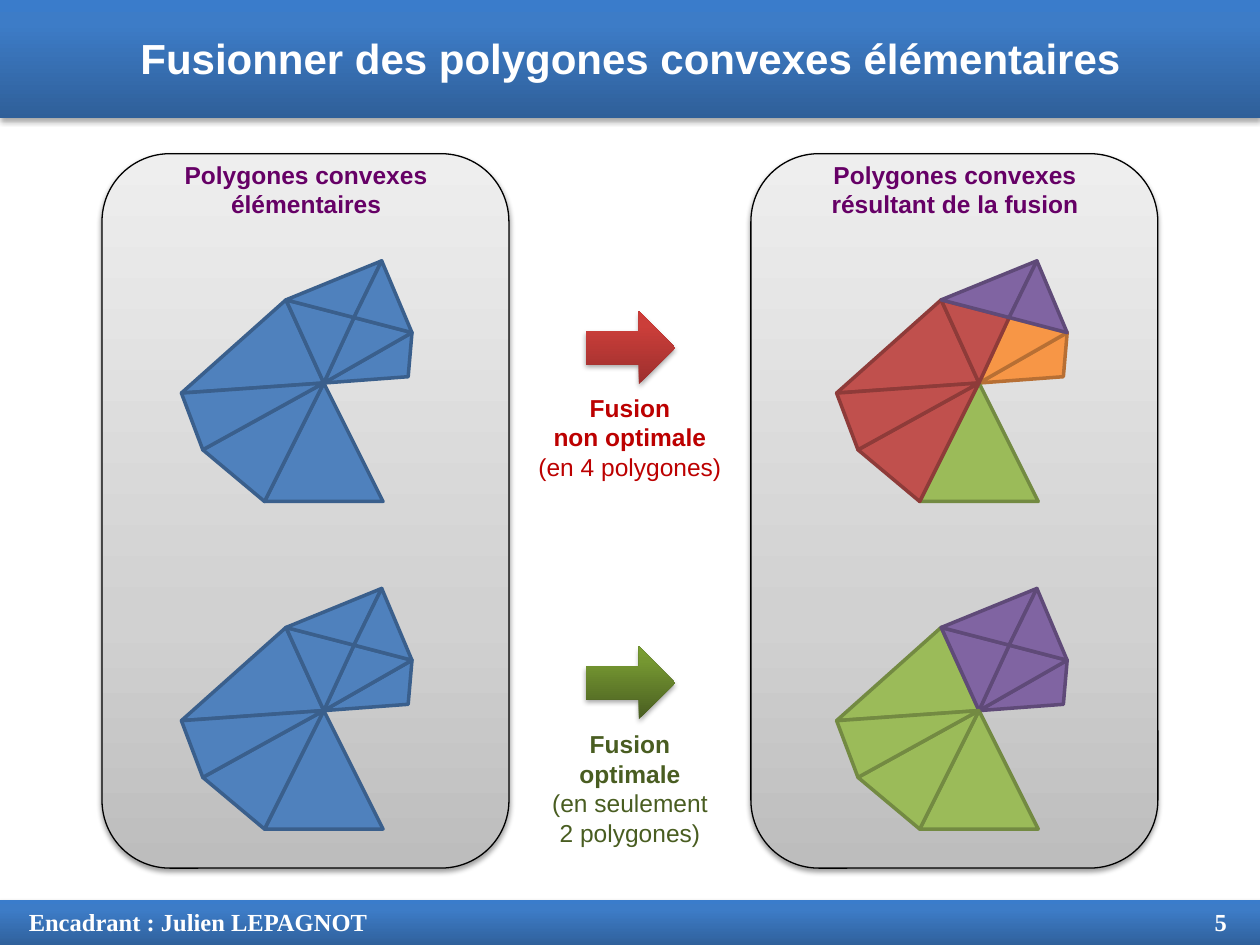
from dataclasses import dataclass

from lxml import etree
from pptx import Presentation, util as u
from pptx.dml.color import RGBColor
from pptx.enum import shapes, text
from pptx.oxml import ns


@dataclass(frozen=True)
class Theme:
    sans: str = "Arial"
    serif: str = "Times New Roman"
    title_size: int = 24
    text_size: int = 14
    white: str = "FFFFFF"
    black: str = "000000"
    heading: str = "660066"
    bad: str = "BC0000"
    good: str = "495D21"
    # Gradients run from bottom to top: (position in percent, colour)
    band: tuple = ((0, "2F5F99"), (80, "3D7CC7"), (100, "3A7CCB"))
    panel: tuple = ((0, "BDBDBD"), (35, "D1D1D1"), (100, "EEEEEE"))
    bad_arrow: tuple = ((0, "9C2F2D"), (80, "CB3E3A"), (100, "CE3B37"))
    good_arrow: tuple = ((0, "495D21"), (80, "759731"), (100, "7A9F31"))
    # Polygon colours: (fill, outline)
    blue: tuple = ("4F81BD", "3A5F8C")
    red: tuple = ("C0504D", "8E3B39")
    green: tuple = ("9BBB59", "738A42")
    purple: tuple = ("8064A2", "5F4A78")
    orange: tuple = ("F79646", "B76F34")


# Corners of the fan, as offsets from its hub
CORNERS = {
    "hub": (0, 0), "A": (-0.47, 0.94), "C": (-0.96, 0.53), "D": (-1.13, 0.08),
    "E": (-0.3, -0.66), "F": (0.46, -0.97), "G": (0.7, -0.4),
    "H": (0.67, -0.05), "X": (0.24, -0.52),
}
# Pieces from back to front; the base is an isosceles triangle below the hub
PIECES = {
    "right low": ("hub", "G", "H"), "right high": ("hub", "G", "X"),
    "base": None,
    "left low": ("C", "hub", "A"), "left high": ("E", "hub", "D"),
    "middle": ("E", "X", "hub"), "top": ("E", "X", "F"),
    "top right": ("F", "G", "X"), "left": ("C", "hub", "D"),
}


def rgb(color):
    return RGBColor.from_string(color)


def add_xml(parent, tag, **attributes):
    values = {name: str(value) for name, value in attributes.items()}
    return etree.SubElement(parent, ns.qn(tag), values)


def write(frame, lines, *, color, size, font, align=text.PP_ALIGN.CENTER,
          bold_lines=None, right_tab=None):
    """Put one paragraph per line; only the first bold_lines are bold (all if None)."""
    for index, line in enumerate(lines):
        para = frame.paragraphs[0] if index == 0 else frame.add_paragraph()
        para.alignment = align
        if right_tab is not None:
            tabs = add_xml(para._p.get_or_add_pPr(), "a:tabLst")
            add_xml(tabs, "a:tab", pos=int(right_tab), algn="r")
        span = para.add_run()
        span.text = line
        span.font.name = font
        span.font.size = u.Pt(size)
        span.font.bold = bold_lines is None or index < bold_lines
        span.font.color.rgb = rgb(color)


class SlideBuilder:
    def __init__(self, page, theme):
        self.page = page
        self.theme = theme

    def shape(self, kind, left, top, width, height):
        shape = self.page.shapes.add_shape(
            kind, *map(u.Inches, (left, top, width, height)))
        shape.shadow.inherit = False
        shape.line.fill.background()
        return shape

    def shaded(self, kind, at, stops, shadow_alpha=35, shadow_distance=1.8):
        """Add a shape with a vertical gradient and a soft shadow below it."""
        shape = self.shape(kind, *at)
        shape.fill.gradient()
        shape.fill.gradient_angle = 90
        properties = shape.element.spPr
        stop_list = properties.find(".//" + ns.qn("a:gsLst"))
        for old in list(stop_list):
            stop_list.remove(old)
        for position, color in stops:
            stop = add_xml(stop_list, "a:gs", pos=position * 1000)
            add_xml(stop, "a:srgbClr", val=color)
        shadow = add_xml(properties.find(ns.qn("a:effectLst")), "a:outerShdw",
                         blurRad=int(u.Pt(3.1)), dist=int(u.Pt(shadow_distance)),
                         dir=5400000, algn="ctr", rotWithShape=0)
        tint = add_xml(shadow, "a:srgbClr", val=self.theme.black)
        add_xml(tint, "a:alpha", val=shadow_alpha * 1000)
        return shape

    def band(self, top, height):
        self.shaded(shapes.MSO_SHAPE.RECTANGLE, (0, top, 10, height), self.theme.band)

    def label(self, lines, at, color, wrap=True, font=None, **style):
        box = self.page.shapes.add_textbox(*map(u.Inches, at))
        box.text_frame.word_wrap = wrap
        box.text_frame.auto_size = text.MSO_AUTO_SIZE.SHAPE_TO_FIT_TEXT
        write(box.text_frame, lines, color=color, size=self.theme.text_size,
              font=font or self.theme.sans, **style)
        return box

    def title(self, line, at, behind):
        """Fill the title placeholder and bring it in front of a given shape."""
        title = self.page.shapes.title
        title.left, title.top, title.width, title.height = map(u.Inches, at)
        frame = title.text_frame
        frame.auto_size = text.MSO_AUTO_SIZE.NONE
        frame.vertical_anchor = text.MSO_ANCHOR.TOP
        write(frame, [line], color=self.theme.white, size=self.theme.title_size,
              font=self.theme.sans)
        behind.element.addnext(title.element)

    def panel(self, left, heading):
        panel = self.shaded(shapes.MSO_SHAPE.ROUNDED_RECTANGLE, (left, 1.22, 3.23, 5.67),
                            self.theme.panel, shadow_alpha=38, shadow_distance=1.6)
        panel.line.color.rgb = rgb(self.theme.black)
        panel.line.width = u.Pt(0.75)
        self.label(heading, (left + 0.5, 1.22, 2.24, 0.57), self.theme.heading)

    def arrow(self, top, stops):
        arrow = self.shaded(shapes.MSO_SHAPE.RIGHT_ARROW, (4.65, top, 0.71, 0.58), stops)
        arrow.adjustments[0] = 0.453

    def triangle(self, corners):
        points = [tuple(map(u.Inches, corner)) for corner in corners]
        builder = self.page.shapes.build_freeform(*points[0])
        builder.add_line_segments(points[1:], close=True)
        shape = builder.convert_to_shape()
        shape.shadow.inherit = False
        return shape

    def fan(self, hub_x, hub_y, main, **exceptions):
        """Draw the grouped fan; exceptions maps a colour name to its pieces."""
        colors = {piece: getattr(self.theme, name)
                  for name, pieces in exceptions.items() for piece in pieces}
        members = []
        for piece, corners in PIECES.items():
            if corners is None:
                shape = self.shape(shapes.MSO_SHAPE.ISOSCELES_TRIANGLE,
                                   hub_x - 0.47, hub_y, 0.94, 0.94)
            else:
                shape = self.triangle([(hub_x + CORNERS[name][0], hub_y + CORNERS[name][1])
                                       for name in corners])
            fill, outline = colors.get(piece, main)
            shape.fill.solid()
            shape.fill.fore_color.rgb = rgb(fill)
            shape.line.color.rgb = rgb(outline)
            shape.line.width = u.Pt(2)
            members.append(shape)
        self.page.shapes.add_group_shape(members)


def main():
    deck = Presentation()
    deck.slide_width, deck.slide_height = u.Inches(10), u.Inches(7.5)
    theme = Theme()
    slide = SlideBuilder(deck.slides.add_slide(deck.slide_layouts[5]), theme)

    slide.band(7.14, 0.38)
    slide.band(0, 0.94)
    footer = slide.label(["Encadrant : Julien LEPAGNOT\t5"], (0.13, 7.15, 9.75, 0.34),
                         theme.white, font=theme.serif, align=text.PP_ALIGN.LEFT,
                         right_tab=u.Inches(9.51))
    slide.title("Fusionner des polygones convexes élémentaires",
                (0.16, 0.21, 9.69, 0.5), behind=footer)

    slide.panel(0.81, ["Polygones convexes", "élémentaires"])
    slide.panel(5.96, ["Polygones convexes résultant de la fusion"])

    slide.arrow(2.47, theme.bad_arrow)
    slide.label(["Fusion", "non optimale", "(en 4 polygones)"],
                (4.17, 3.07, 1.66, 0.81), theme.bad, wrap=False, bold_lines=2)
    slide.arrow(5.13, theme.good_arrow)
    slide.label(["Fusion", "optimale", "(en seulement", "2 polygones)"],
                (4.28, 5.74, 1.44, 1.04), theme.good, wrap=False, bold_lines=2)

    left, right = 2.57, 7.77
    upper, lower = 3.04, 5.64
    for hub_y in (upper, lower):
        slide.fan(left, hub_y, theme.blue)
    slide.fan(right, upper, theme.red, green=["base"], purple=["top", "top right"],
              orange=["right low", "right high"])
    slide.fan(right, lower, theme.green,
              purple=["right low", "right high", "middle", "top", "top right"])

    deck.save("out.pptx")


if __name__ == "__main__":
    main()
